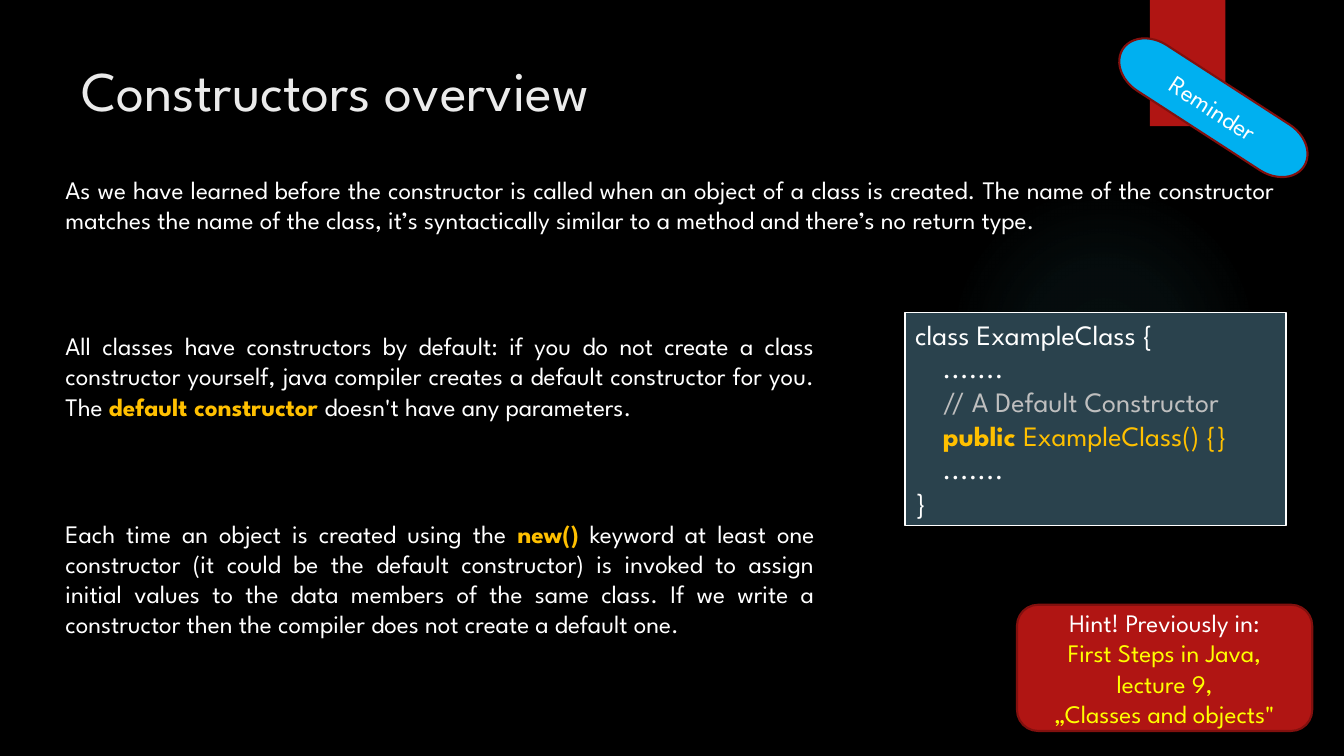
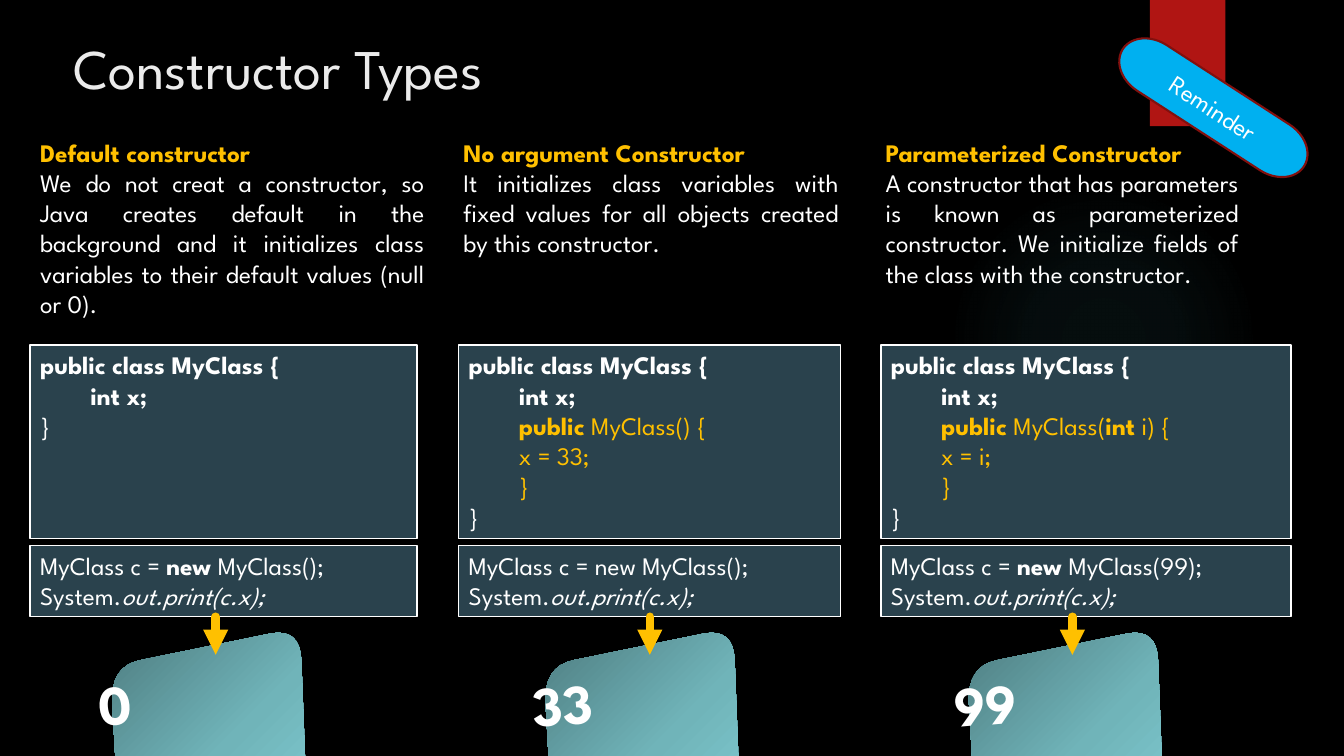
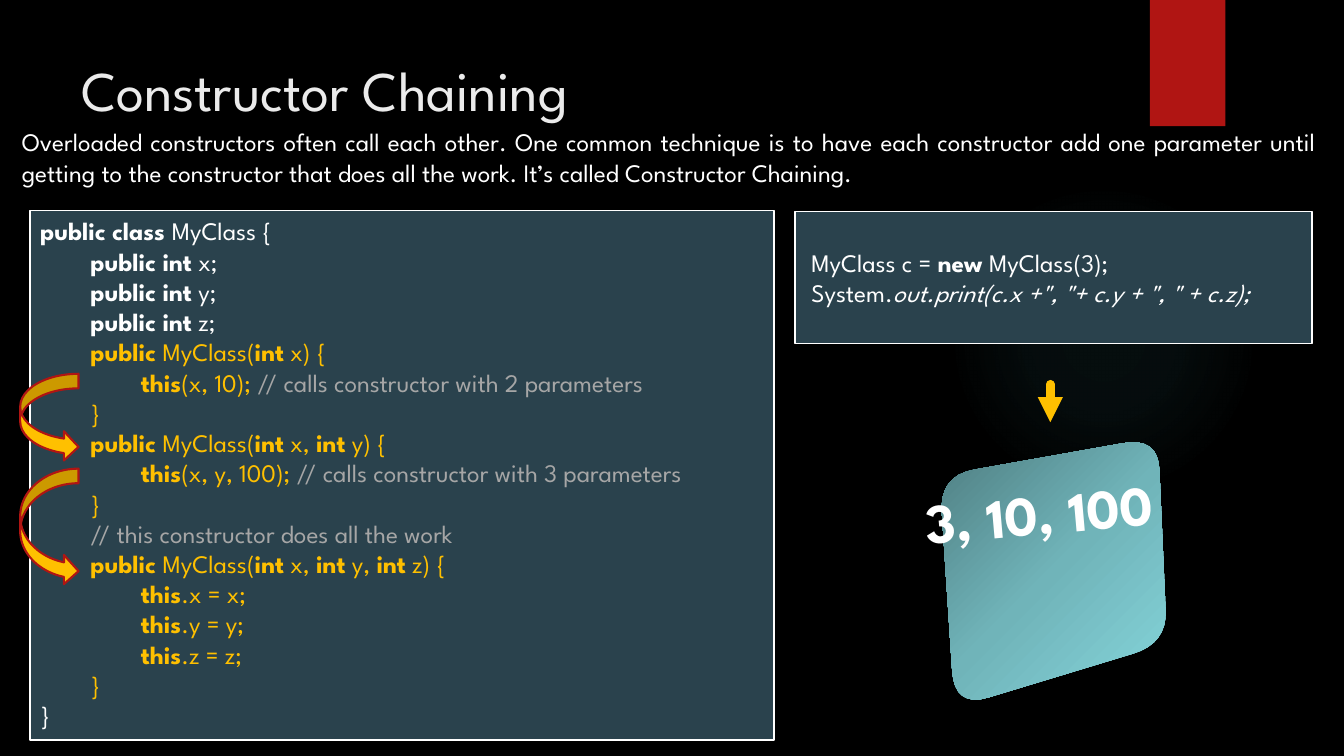
from dataclasses import dataclass, field
from functools import partial

from lxml import etree
from pptx import Presentation
from pptx.dml.color import RGBColor
from pptx.enum.shapes import MSO_CONNECTOR, MSO_SHAPE
from pptx.enum.text import MSO_ANCHOR, PP_ALIGN
from pptx.oxml.ns import qn
from pptx.util import Cm, Pt

RECTANGLE = MSO_SHAPE.RECTANGLE
ELLIPSE = MSO_SHAPE.OVAL
PILL = MSO_SHAPE.FLOWCHART_TERMINATOR
ROUNDED = MSO_SHAPE.FLOWCHART_ALTERNATE_PROCESS
CURVED_ARROW = MSO_SHAPE.CURVED_RIGHT_ARROW
STRAIGHT = MSO_CONNECTOR.STRAIGHT
TOP, MIDDLE = MSO_ANCHOR.TOP, MSO_ANCHOR.MIDDLE
LEFT, CENTER, JUSTIFY = PP_ALIGN.LEFT, PP_ALIGN.CENTER, PP_ALIGN.JUSTIFY
BOTTOM_SITE = 2

COLORS = {
    "black": "000000", "white": "FFFFFF", "title": "EBEBEB", "red": "B01513",
    "dark_red": "82100E", "blue": "00B0F0", "panel": "2A424D", "gold": "FFC000",
    "yellow": "FFFF00", "silver": "BFBFBF", "gray": "A6A6A6", "teal": "50B9C1",
    "card_dark": "4F7E82", "card_mid": "70B4B9", "card_light": "85D5DB",
}
FONT = "League Spartan"
TAB = 1.27
CARD_HEIGHT = 5.59
# Corners of the tilted card as shares of its width and height
CARD_CORNERS = [(0.1, 0.095), (0.82, -0.08), (0.85, 0.85), (0.15, 1.14)]
CARD_ROUNDING = 0.16
CARD_TILT = -5
CORNER_STEPS = 8


@dataclass(frozen=True)
class Span:
    text: str
    color: str = "white"
    bold: bool = False
    italic: bool = False


@dataclass(frozen=True)
class Area:
    left: float
    top: float
    width: float
    height: float

    def lengths(self) -> list:
        return [Cm(v) for v in (self.left, self.top, self.width, self.height)]


@dataclass(frozen=True)
class Style:
    size: float = 18
    align: int = LEFT
    anchor: int = TOP
    tabs: int = 0
    wrap: bool = True
    inset: float = 0.25


@dataclass(frozen=True)
class Column:
    heading: str
    summary: str
    text_left: float
    text_width: float
    left: float
    width: float
    call: list
    result: str
    card_left: float
    label_shift: float
    constructor: list = field(default_factory=list)


strong = partial(Span, bold=True)
gold = partial(Span, color="gold")
keyword = partial(Span, color="gold", bold=True)
comment = partial(Span, color="gray")
italic = partial(Span, italic=True)

PROSE = Style(align=JUSTIFY)
CODE = Style(tabs=2)
BADGE = Style(align=CENTER, anchor=MIDDLE)


def rgb(name: str) -> RGBColor:
    return RGBColor.from_string(COLORS[name])


def write(shape, lines: list, style: Style) -> None:
    """Fill a shape with paragraphs, each a list of spans."""
    frame = shape.text_frame
    settings = {"word_wrap": style.wrap, "vertical_anchor": style.anchor,
                "margin_left": Cm(style.inset)}
    for name, value in settings.items():
        setattr(frame, name, value)
    for index, line in enumerate(lines):
        para = frame.add_paragraph() if index else frame.paragraphs[0]
        para.alignment = style.align
        if style.tabs:
            stops = etree.SubElement(para._p.get_or_add_pPr(), qn("a:tabLst"))
            for stop in range(1, style.tabs + 1):
                etree.SubElement(stops, qn("a:tab"), pos=str(Cm(TAB * stop)), algn="l")
        for span in line:
            run = para.add_run()
            run.text = span.text
            values = {"name": FONT, "size": Pt(style.size),
                      "bold": span.bold, "italic": span.italic}
            for name, value in values.items():
                setattr(run.font, name, value)
            run.font.color.rgb = rgb(span.color)


def add_text(page, area: Area, lines: list, style: Style = PROSE):
    box = page.shapes.add_textbox(*area.lengths())
    write(box, lines, style)
    return box


def add_box(page, kind: int, area: Area, fill: str = "", line: str = "",
            line_width: float = 1.5):
    box = page.shapes.add_shape(kind, *area.lengths())
    box.shadow.inherit = False
    if fill:
        box.fill.solid()
        box.fill.fore_color.rgb = rgb(fill)
    if line:
        box.line.color.rgb = rgb(line)
        box.line.width = Pt(line_width)
    else:
        box.line.fill.background()
    return box


def add_code(page, area: Area, lines: list, style: Style = CODE):
    box = add_box(page, RECTANGLE, area, "panel", "white", 1)
    write(box, lines, style)
    return box


def set_radial_fill(shape, stops: list, focus: dict) -> None:
    """Give a shape a circular gradient; stops are position, colour, opacity."""
    gradient = etree.Element(qn("a:gradFill"), rotWithShape="1")
    stop_list = etree.SubElement(gradient, qn("a:gsLst"))
    for position, color, opacity in stops:
        stop = etree.SubElement(stop_list, qn("a:gs"), pos=str(position * 1000))
        paint = etree.SubElement(stop, qn("a:srgbClr"), val=COLORS[color])
        if opacity < 100:
            etree.SubElement(paint, qn("a:alpha"), val=str(opacity * 1000))
    circle = etree.SubElement(gradient, qn("a:path"), path="circle")
    edges = {side: str(share * 1000) for side, share in focus.items()}
    etree.SubElement(circle, qn("a:fillToRect"), edges)
    shape._element.spPr.insert(2, gradient)  # after position and geometry


def rounded_outline(corners: list) -> list:
    """Points of a polygon whose corners are rounded by quadratic curves."""
    points = []
    for index, corner in enumerate(corners):
        before, after = corners[index - 1], corners[(index + 1) % len(corners)]
        start, end = ([c + (n - c) * CARD_ROUNDING for c, n in zip(corner, other)]
                      for other in (before, after))
        for step in range(CORNER_STEPS + 1):
            t = step / CORNER_STEPS
            points.append(tuple(
                Cm((1 - t) ** 2 * s + 2 * t * (1 - t) * c + t ** 2 * e)
                for s, c, e in zip(start, corner, end)))
    return points


def add_card(page, left: float, top: float, width: float, label: str,
             label_shift: float) -> None:
    corners = [(left + x * width, top + y * CARD_HEIGHT) for x, y in CARD_CORNERS]
    points = rounded_outline(corners)
    builder = page.shapes.build_freeform(*points[0], scale=1.0)
    builder.add_line_segments(points[1:], close=True)
    card = builder.convert_to_shape()
    card.shadow.inherit = False
    card.line.fill.background()
    set_radial_fill(card, [(0, "card_dark", 100), (50, "card_mid", 100),
                           (100, "card_light", 100)], {"r": 100, "b": 100})
    label_width, label_height = 7, 1.96
    area = Area(left + label_shift - label_width / 2, top + 1.45 - label_height / 2,
                label_width, label_height)
    box = add_text(page, area, [[strong(label)]], Style(40, CENTER, MIDDLE))
    box.rotation = CARD_TILT


def add_arrow(page, x: float, top: float, source=None) -> None:
    """Short downward arrow, joined to a source box when centred under it."""
    arrow = page.shapes.add_connector(STRAIGHT, Cm(x), Cm(top), Cm(x), Cm(top + 0.96))
    if source is not None and abs(source.left + source.width / 2 - Cm(x)) < Cm(0.05):
        arrow.begin_connect(source, BOTTOM_SITE)
        arrow.end_x = arrow.begin_x
    arrow.line.color.rgb = rgb("gold")
    arrow.line.width = Pt(6)
    properties = arrow._element.spPr
    stroke = properties.find(qn("a:ln"))
    stroke.set("cap", "rnd")
    etree.SubElement(stroke, qn("a:tailEnd"), type="triangle")
    etree.SubElement(properties, qn("a:effectLst"))


def add_page(deck, title: str, left: float = 1.8, top: float = 1.27,
             reminder: bool = False):
    """Page with the shared background, glow, ribbon and title."""
    page = deck.slides.add_slide(deck.slide_layouts[6])
    page.background.fill.solid()
    page.background.fill.fore_color.rgb = rgb("black")
    glow = add_box(page, ELLIPSE, Area(23.9, 4.65, 7.82, 7.82))
    set_radial_fill(glow, [(0, "teal", 7), (36, "teal", 6), (69, "teal", 0)],
                    {"l": 50, "t": 50, "r": 50, "b": 50})
    add_box(page, RECTANGLE, Area(28.98, 0, 1.9, 3.18), "red")
    add_text(page, Area(left, top, 27.33, 2.24), [[Span(title, "title")]], Style(40))
    if reminder:
        pill = add_box(page, PILL, Area(27.86, 2.03, 5.44, 1.37), "blue", "dark_red")
        pill.rotation = 32.9
        write(pill, [[Span("Reminder")]], BADGE)
    return page


def build_overview(deck) -> None:
    page = add_page(deck, "Constructors overview", reminder=True)
    add_text(page, Area(1.4, 4.27, 30.99, 2.57), [[Span(
        "As we have learned before the constructor is called when an object of a class "
        "is created. The name of the constructor matches the name of the class, it’s "
        "syntactically similar to a method and there’s no return type.")]])
    add_text(page, Area(1.4, 8.2, 19.38, 3.33), [[
        Span("All classes have constructors by default: if you do not create a class "
             "constructor yourself, java compiler creates a default constructor for "
             "you. The "),
        keyword("default constructor "), Span("doesn't have any parameters.")]])
    add_text(page, Area(1.4, 12.93, 19.38, 4.11), [[
        Span("Each time an object is created using the "), keyword("new()"),
        Span(" keyword at least one constructor (it could be the default constructor) "
             "is invoked to assign initial values to the data members of the same "
             "class. If we write a constructor then the compiler does not create a "
             "default one.")]])
    add_code(page, Area(22.81, 7.87, 9.6, 5.38), [
        [Span("class ExampleClass {")],
        [Span("    .......")],
        [Span("    "), Span("// A Default Constructor", "silver")],
        [Span("    "), keyword("public "), gold("ExampleClass() {}")],
        [Span("    .......")],
        [Span("}")]], Style(20))
    hint = add_box(page, ROUNDED, Area(25.63, 15.24, 7.44, 3.18), "red", "dark_red")
    write(hint, [[Span("Hint! Previously in:")],
                 [Span("First Steps in Java, lecture 9,", "yellow")],
                 [Span("„Classes and objects\"", "yellow")]], BADGE)


COLUMNS = [
    Column("Default constructor",
           "We do not creat a constructor, so Java creates default in the background "
           "and it initializes class variables to their default values (null or 0).",
           0.76, 10.19, 0.76, 9.75,
           [Span("MyClass c = "), strong("new "), Span("MyClass();")], "0", 2.11, 0.8),
    Column("No argument Constructor",
           "It initializes class variables with fixed values for all objects created "
           "by this constructor.",
           11.43, 9.96, 11.56, 9.63,
           [Span("MyClass c = new MyClass();")], "33", 13.03, 1.15,
           [[keyword("\tpublic "), gold("MyClass() {")],
            [gold("\tx = 33;")], [gold("\t}")]]),
    Column("Parameterized Constructor",
           "A constructor that has parameters is known as parameterized constructor. "
           "We initialize fields of the class with the constructor.",
           22.07, 9.4, 22.2, 10.34,
           [Span("MyClass c = "), strong("new "), Span("MyClass(99);")], "99", 23.7, 1.15,
           [[keyword("\tpublic "), gold("MyClass("), keyword("int "), gold("i) {")],
            [gold("\tx = i;")], [gold("\t}")]]),
]


def build_types(deck) -> None:
    page = add_page(deck, "Constructor Types", 1.6, 0.71, reminder=True)
    card_width = 6.65
    for column in COLUMNS:
        text = add_text(page, Area(column.text_left, 3.33, column.text_width, 4.88),
                        [[keyword(column.heading)], [Span(column.summary)]])
        text.text_frame.paragraphs[0].alignment = LEFT
        add_code(page, Area(column.left, 8.69, column.width, 4.88),
                 [[strong("public class MyClass {")], [strong("\tint x;")],
                  *column.constructor, [Span("}")]])
        call = add_code(page, Area(column.left, 13.74, column.width, 1.8),
                        [column.call, [Span("System."), italic("out.print(c.x);")]])
        add_card(page, column.card_left, 16.26, card_width, column.result,
                 column.label_shift)
        add_arrow(page, column.card_left + card_width / 2, 15.54, call)


def signature(names: str) -> list:
    """Constructor header with one int parameter per letter."""
    spans = [keyword("\tpublic "), gold("MyClass(")]
    for name in names:
        ending = ") {" if name == names[-1] else ", "
        spans += [keyword("int"), gold(f" {name}{ending}")]
    return spans


def build_chaining(deck) -> None:
    page = add_page(deck, "Constructor Chaining")
    add_text(page, Area(0.3, 3.07, 33.12, 1.8), [[Span(
        "Overloaded constructors often call each other. One common technique is to have "
        "each constructor add one parameter until getting to the constructor that does "
        "all the work. It’s called Constructor Chaining.")]])
    fields = [[strong("\tpublic int"), Span(f" {name};")] for name in "xyz"]
    assignments = [[keyword("\t\tthis"), gold(f".{name} = {name};")] for name in "xyz"]
    closing = [gold("\t}")]
    add_code(page, Area(0.76, 5.31, 18.75, 13.34), [
        [strong("public class "), Span("MyClass {")],
        *fields,
        signature("x"),
        [keyword("\t\tthis"), gold("(x, 10); "),
         comment("// calls constructor with 2 parameters")],
        closing,
        signature("xy"),
        [keyword("\t\tthis"), gold("(x, y, 100); "),
         comment("// calls constructor with 3 parameters")],
        closing,
        [comment("\t// this constructor does all the work")],
        signature("xyz"),
        *assignments,
        closing,
        [Span("}")]])
    add_code(page, Area(20.04, 5.33, 13.03, 3.33), [
        [Span("MyClass c = "), strong("new "), Span("MyClass(3);")],
        [Span("System."), italic("out.print(c.x +\", \"+ c.y + \", \" + c.z);")]],
        Style(anchor=MIDDLE, inset=0.41))
    add_card(page, 22.91, 11.46, 7.65, "3, 10, 100", 3.28)
    add_arrow(page, 26.47, 9.68)
    # Arrows from each this() call to the constructor it reaches
    for top, height in ((9.42, 2.21), (11.81, 2.95)):
        add_box(page, CURVED_ARROW, Area(0.51, top, 1.47, height), "gold", "red")


def main() -> None:
    deck = Presentation()
    deck.slide_width, deck.slide_height = Cm(33.87), Cm(19.05)
    for build in (build_overview, build_types, build_chaining):
        build(deck)
    deck.save("out.pptx")


if __name__ == "__main__":
    main()
